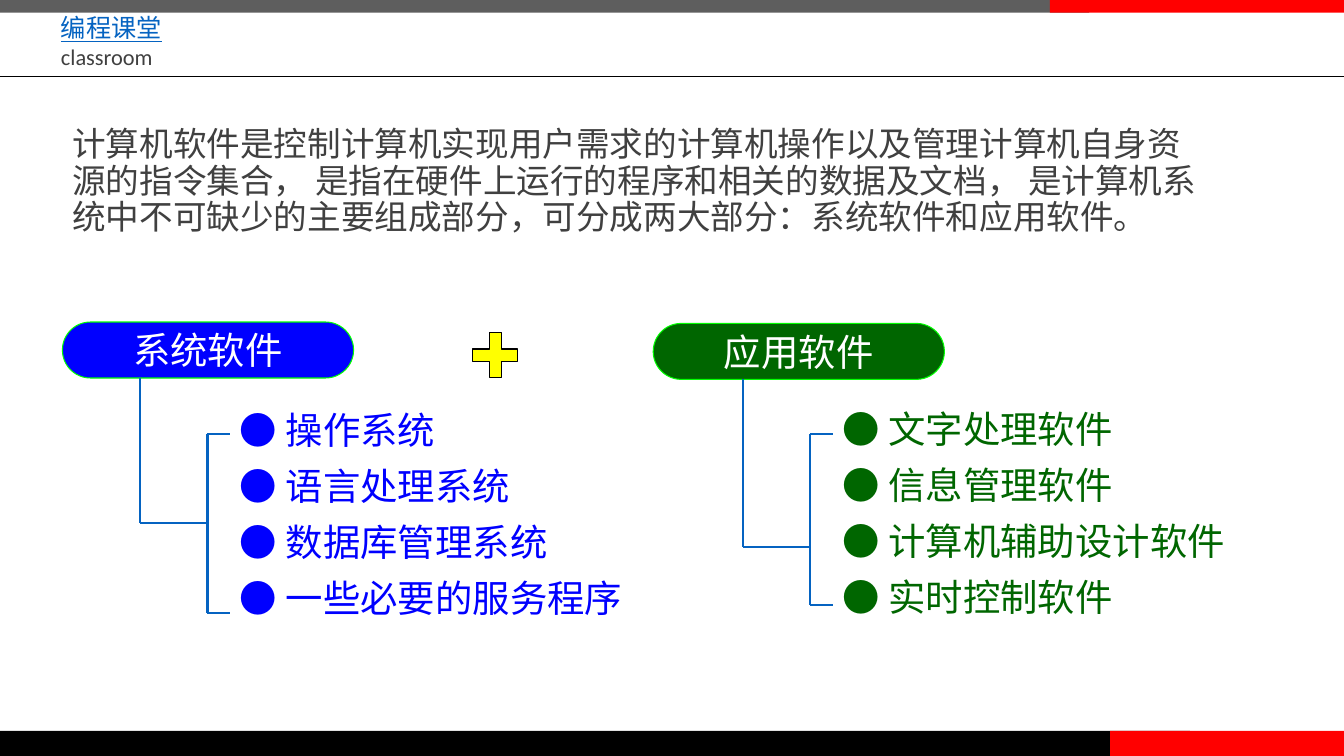
from pptx import Presentation
from pptx import util as u
from pptx.dml.color import RGBColor
from pptx.enum import shapes, text
from pptx.oxml.ns import qn
from lxml import etree

Pt = u.Pt
deck = Presentation()
deck.slide_width, deck.slide_height = Pt(960), Pt(540)
page = deck.slides.add_slide(deck.slide_layouts[6])
kinds = shapes.MSO_SHAPE


def paint(fmt, color):
    fmt.solid()
    fmt.fore_color.rgb = RGBColor.from_string(color)


def write(frame, lines, size=18, color="404040", font="Calibri", before=0, space=1,
          align=text.PP_ALIGN.LEFT, anchor=text.MSO_ANCHOR.TOP, wrap=True):
    frame.word_wrap = wrap
    frame.vertical_anchor = anchor
    for i, line in enumerate(lines):
        para = frame.paragraphs[0] if i == 0 else frame.add_paragraph()
        para.alignment, para.line_spacing = align, space
        para.space_before = Pt(before)
        run = para.add_run()
        run.text = line
        run.font.size, run.font.name = Pt(size), font
        paint(run.font.fill, color)


bars = [(0, 0, 778, 9, "5E5E5E"), (0, 522, 850, 18, "000000"),
        (793, 522, 167, 18, "FF0000"), (750, 0, 210, 9, "FF0000")]
for x, y, w, h, color in bars:
    bar = page.shapes.add_shape(kinds.RECTANGLE, Pt(x), Pt(y), Pt(w), Pt(h))
    bar.shadow.inherit = False
    paint(bar.fill, color)
    bar.line.fill.background()

head = page.shapes.add_textbox(Pt(39.6), Pt(4.3), Pt(210), Pt(50)).text_frame
head.margin_left = head.margin_right = head.margin_top = head.margin_bottom = Pt(4)
write(head, ["编程课堂", "classroom"], size=16, anchor=text.MSO_ANCHOR.MIDDLE)
brand = head.paragraphs[0].runs[0].font
brand.size, brand.underline = Pt(18), True
paint(brand.fill, "0563C1")

intro = page.shapes.add_textbox(Pt(44.6), Pt(87.8), Pt(818.6), Pt(116)).text_frame
write(intro, ["计算机软件是控制计算机实现用户需求的计算机操作以及管理计算机自身资源的指令集合， "
              "是指在硬件上运行的程序和相关的数据及文档， 是计算机系统中不可缺少的主要组成部分，"
              "可分成两大部分：系统软件和应用软件。"],
      size=24, font="Noto Sans CJK SC", before=3.6, space=0.9)

plus = page.shapes.add_shape(kinds.CROSS, Pt(337.7), Pt(237.6), Pt(32), Pt(32))
plus.shadow.inherit = False
plus.adjustments[0] = 0.365
paint(plus.fill, "FFFF00")
paint(plus.line.fill, "000000")
plus.line.width = Pt(0.75)

rules = [(0, 54.7, 960, 54.7, "000000", 0.5)]
groups = [
    ("系统软件", ["操作系统", "语言处理系统", "数据库管理系统", "一些必要的服务程序"],
     "0000FF", 44.6, 230, 164.2, 287.3, 320, 100.1, 373.7, 437.8),
    ("应用软件", ["文字处理软件", "信息管理软件", "计算机辅助设计软件", "实时控制软件"],
     "006600", 466.6, 231, 594.7, 286.6, 328, 530.5, 391, 432),
]
for name, items, color, left, top, x, y, wide, stem, mid, low in groups:
    body = page.shapes.add_textbox(Pt(x), Pt(y), Pt(wide), Pt(165.6)).text_frame
    write(body, ["● " + item for item in items], size=26.7, color=color,
          font="Times New Roman", before=8)
    pill = page.shapes.add_shape(kinds.ROUNDED_RECTANGLE, Pt(left), Pt(top), Pt(208), Pt(40))
    pill.shadow.inherit = False
    pill.adjustments[0] = 0.5
    paint(pill.fill, color)
    paint(pill.line.fill, "00FF00")
    pill.line.width = Pt(0.75)
    write(pill.text_frame, [name], size=26.7, color="FFFFFF", font="Times New Roman",
          align=text.PP_ALIGN.CENTER, anchor=text.MSO_ANCHOR.MIDDLE, wrap=False)
    spine, high = x - 16, 310.3
    for ends in [(stem, top + 40, stem, mid), (stem, mid, spine, mid),
                 (spine, high, spine, low), (spine, high, x, high), (spine, low, x, low)]:
        rules.append((*ends, "0563C1", 1.5))

for x1, y1, x2, y2, color, width in rules:
    rule = page.shapes.add_connector(shapes.MSO_CONNECTOR.STRAIGHT,
                                     Pt(x1), Pt(y1), Pt(x2), Pt(y2))
    paint(rule.line.fill, color)
    rule.line.width = Pt(width)
    etree.SubElement(rule._element.spPr, qn("a:effectLst"))

deck.save("out.pptx")
